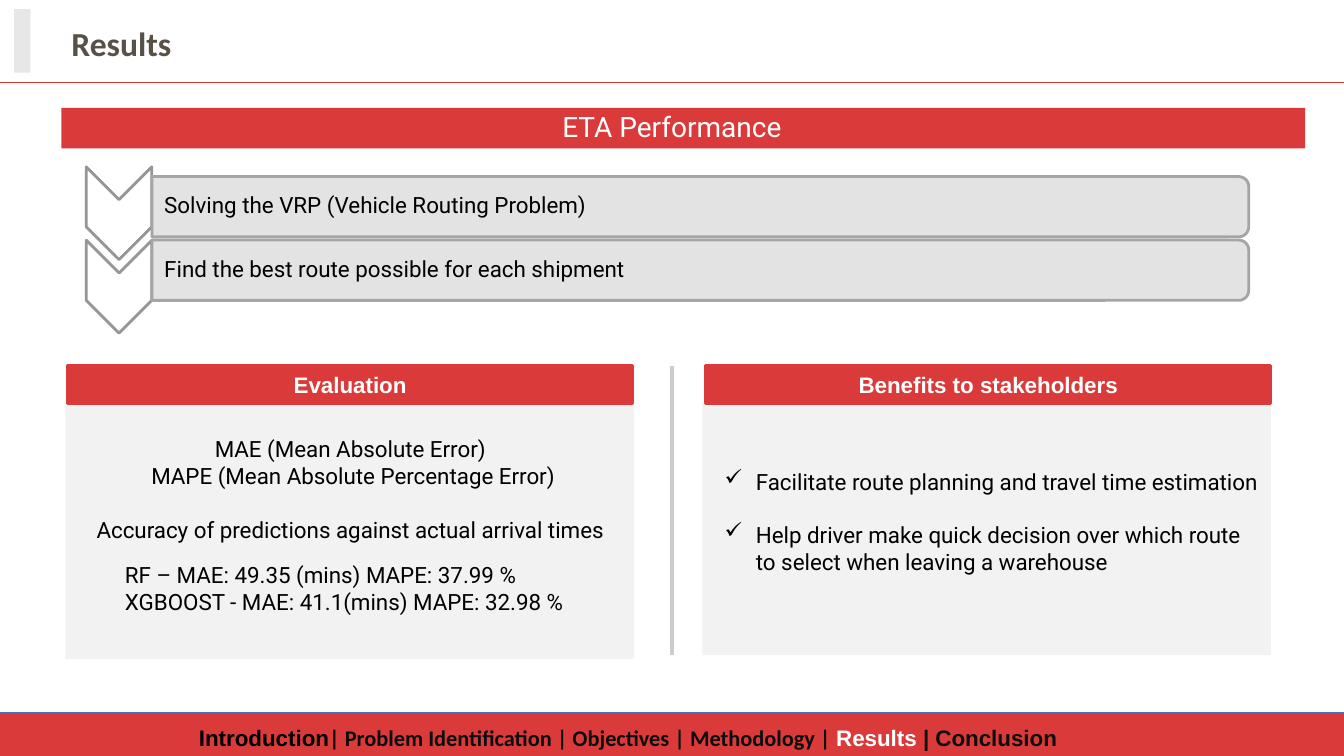
"""Build the Results slide on ETA performance, its evaluation and its benefits."""
from lxml import etree
from pptx import Presentation
from pptx.dml.color import RGBColor
from pptx.enum.shapes import MSO_CONNECTOR, MSO_SHAPE
from pptx.enum.text import MSO_ANCHOR, PP_ALIGN
from pptx.oxml.ns import qn
from pptx.util import Cm, Pt

RED = "DA3B3A"
BLACK = "000000"
WHITE = "FFFFFF"
rgb = RGBColor.from_string

deck = Presentation()
deck.slide_width, deck.slide_height = Cm(33.87), Cm(19.05)
slide = deck.slides.add_slide(deck.slide_layouts[6])


def add_block(kind, place, fill, line=None, rotation=0):
    block = slide.shapes.add_shape(kind, *map(Cm, place))
    block.shadow.inherit = False
    block.rotation = rotation
    block.fill.solid()
    block.fill.fore_color.rgb = rgb(fill)
    if line:
        block.line.color.rgb = rgb(line)
        block.line.width = Pt(2)
    else:
        block.line.fill.background()
    return block


def add_text(place, lines, inset=(0.25, 0.13), size=16, font="Roboto", color=BLACK,
             bold=False, align=PP_ALIGN.LEFT, anchor=MSO_ANCHOR.TOP):
    frame = slide.shapes.add_textbox(*map(Cm, place)).text_frame
    frame.word_wrap = True
    frame.vertical_anchor = anchor
    frame.margin_left = frame.margin_right = Cm(inset[0])
    frame.margin_top = frame.margin_bottom = Cm(inset[1])
    frame.text = "\n".join(lines)
    for paragraph in frame.paragraphs:
        paragraph.alignment = align
        for run in paragraph.runs:
            run.font.size, run.font.name, run.font.bold = Pt(size), font, bold
            run.font.color.rgb = rgb(color)
    return frame.paragraphs


add_block(MSO_SHAPE.RECTANGLE, (1.55, 2.72, 31.34, 1.02), RED)
for x1, y1, x2, y2, color, width in [
    (0, 17.96, 33.91, 17.96, "4472C4", 0.75),
    (0, 2.08, 33.91, 2.08, RED, 0.75),
    (16.94, 9.22, 16.94, 16.51, "CCCCCC", 3),
]:
    rule = slide.shapes.add_connector(MSO_CONNECTOR.STRAIGHT, Cm(x1), Cm(y1), Cm(x2), Cm(y2))
    rule.line.color.rgb = rgb(color)
    rule.line.width = Pt(width)
    etree.SubElement(rule._element.spPr, qn("a:effectLst"))

add_text((1.55, 0.2, 27.99, 1.78), ["Results"], size=24, font="Calibri",
         color="585147", bold=True, anchor=MSO_ANCHOR.MIDDLE)
add_block(MSO_SHAPE.RECTANGLE, (0.36, 0.23, 0.41, 1.6), "E7E7E7")

agenda = slide.shapes.add_table(1, 2, Cm(-0.15), Cm(17.96), Cm(34.75), Cm(1.3)).table
agenda.first_row = agenda.horz_banding = False
for column, width in zip(agenda.columns, (32.11, 2.64)):
    column.width = Cm(width)
for cell in agenda.iter_cells():
    cell.vertical_anchor = MSO_ANCHOR.MIDDLE
    for side in ("a:lnL", "a:lnR", "a:lnT", "a:lnB"):
        border = etree.SubElement(cell._tc.get_or_add_tcPr(), qn(side), w="0")
        etree.SubElement(border, qn("a:noFill"))
    cell.fill.solid()
    cell.fill.fore_color.rgb = rgb(RED)
sections = agenda.cell(0, 0).text_frame.paragraphs[0]
sections.alignment = PP_ALIGN.CENTER
for words, font, color in [
    ("Introduction", "Arial", BLACK),
    ("| Problem Identification | Objectives | Methodology | ", "Calibri", "0D0D0D"),
    ("Results", "Arial", WHITE),
    (" | Conclusion ", "Arial", "0D0D0D"),
]:
    run = sections.add_run()
    run.text = words
    run.font.size, run.font.name, run.font.bold = Pt(16), font, True
    run.font.color.rgb = rgb(color)

add_text((7.26, 2.44, 19.35, 2.62), ["ETA Performance"], inset=(0.33, 0.33), size=20,
         color=WHITE, align=PP_ALIGN.CENTER)

for step, (goal, chevron_top) in enumerate([
    ("Solving the VRP (Vehicle Routing Problem)", 4.55),
    ("Find the best route possible for each shipment", 6.4),
]):
    drop = step * 1.6
    add_block(MSO_SHAPE.CHEVRON, (1.83, chevron_top, 2.34, 1.65), WHITE, "969696", 90)
    bar = add_block(MSO_SHAPE.ROUND_2_SAME_RECTANGLE, (16.89, -8.61 + drop, 1.52, 27.64),
                    "E1E1E1", "A5A5A5", 90)
    bar_color = bar._element.spPr.find(qn("a:solidFill"))[0]
    etree.SubElement(bar_color, qn("a:alpha"), val="90000")
    add_text((3.84, 4.52 + drop, 27.56, 1.37), [goal], inset=(0.3, 0.03),
             anchor=MSO_ANCHOR.MIDDLE)[0].line_spacing = 0.9

for heading, panel_left, heading_left, panel_height in [
    ("Evaluation", 1.65, 1.7, 6.45),
    ("Benefits to stakeholders", 17.7, 17.78, 6.35),
]:
    add_block(MSO_SHAPE.RECTANGLE, (panel_left, 10.16, 14.33, panel_height), "F2F2F2")
    place = (heading_left, 9.22, 14.25, 0.94)
    add_block(MSO_SHAPE.RECTANGLE, place, RED, RED)
    add_text(place, [heading], font="Arial", color=WHITE, bold=True,
             align=PP_ALIGN.CENTER, anchor=MSO_ANCHOR.MIDDLE)

metrics = add_text((0.41, 10.64, 16.84, 6.81), [
    "MAE (Mean Absolute Error)",
    " MAPE (Mean Absolute Percentage Error)",
    "Accuracy of predictions against actual arrival times",
], inset=(0.33, 0.33), align=PP_ALIGN.CENTER)
metrics[2].space_before = Pt(19)

add_text((2.9, 14.02, 11.86, 1.63), [
    "RF – MAE: 49.35 (mins) MAPE: 37.99 %",
    "XGBOOST - MAE: 41.1(mins) MAPE: 32.98 %",
])

benefits = add_text((17.93, 11.46, 14.22, 3.4), [
    "Facilitate route planning and travel time estimation",
    "Help driver make quick decision over which route to select when leaving a warehouse",
], inset=(0.33, 0.33))
benefits[1].space_before = Pt(19)
for benefit in benefits:
    properties = benefit._p.get_or_add_pPr()
    properties.set("marL", str(Cm(0.79)))
    properties.set("indent", str(Cm(-0.79)))
    bullet_color = etree.SubElement(properties, qn("a:buClr"))
    etree.SubElement(bullet_color, qn("a:srgbClr"), val=BLACK)
    etree.SubElement(properties, qn("a:buChar"), char="✓")

deck.save("out.pptx")
